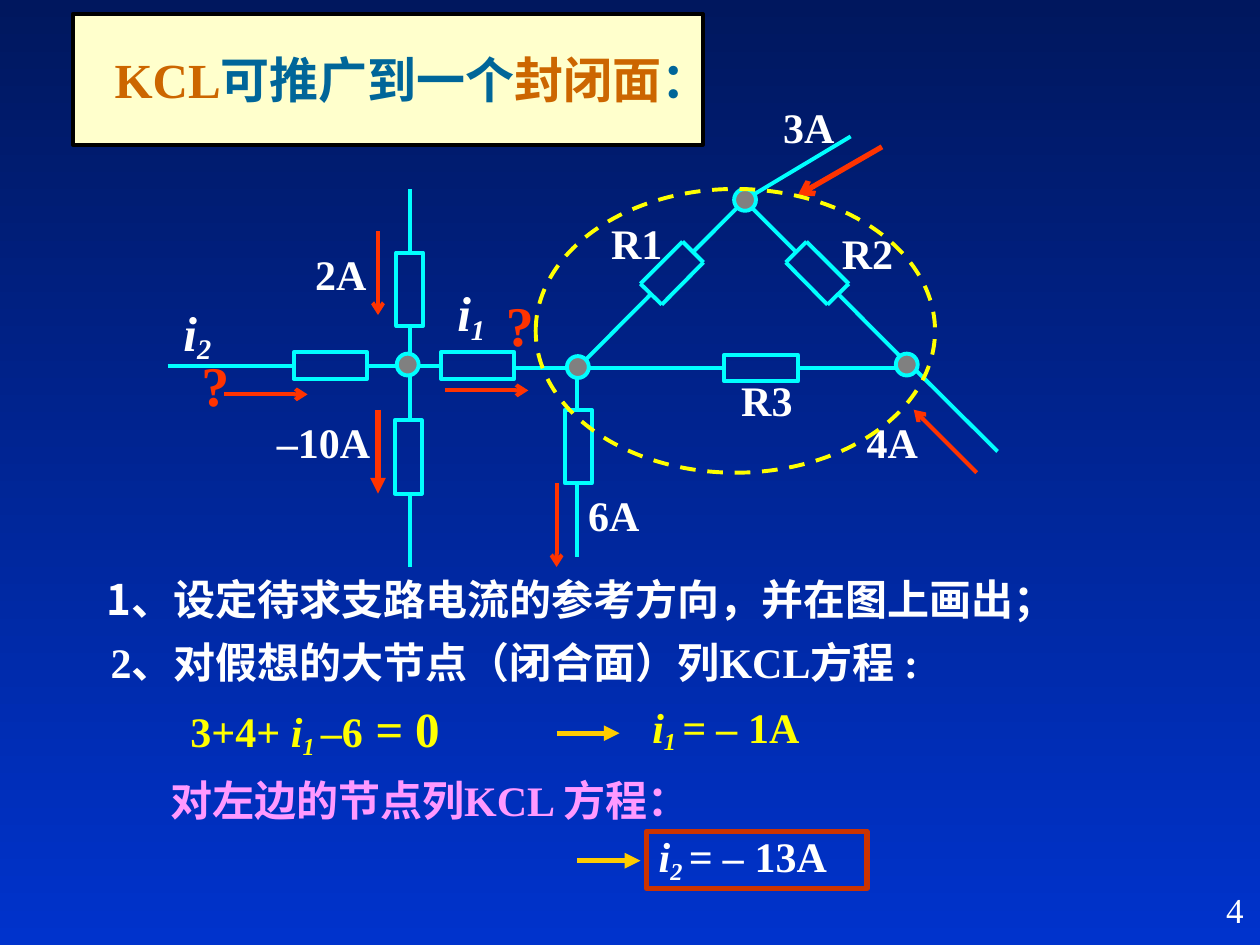
from pptx import Presentation
from pptx.dml.color import RGBColor
from pptx.enum.dml import MSO_LINE
from pptx.enum.shapes import MSO_CONNECTOR, MSO_SHAPE
from pptx.enum.text import MSO_ANCHOR, PP_ALIGN
from pptx.oxml.ns import qn
from pptx.util import Cm, Pt
from lxml.etree import SubElement

COLORS = {
    "top": "00175E", "base": "0033CC", "wire": "00FFFF", "node": "808080",
    "flow": "FF3300", "text": "FFFFFF", "loop": "FFFF00", "step": "FFCC00",
    "pink": "FF99FF", "rust": "CC3300", "cream": "FFFFCC", "edge": "000000",
    "key": "CC6600", "teal": "006699",
}
SERIF, SANS = "Times New Roman", "Noto Sans CJK SC"
LEFT, MID, RIGHT = PP_ALIGN.LEFT, PP_ALIGN.CENTER, PP_ALIGN.RIGHT


def rgb(name):
    return RGBColor.from_string(COLORS[name])


def add_line(slide, start, end, color="wire", width=2.25, head=None):
    ends = [Cm(v) for v in (*start, *end)]
    line = slide.shapes.add_connector(MSO_CONNECTOR.STRAIGHT, *ends)
    line.line.color.rgb = rgb(color)
    line.line.width = Pt(width)
    props = line._element.spPr
    if head:
        SubElement(props.find(qn("a:ln")), qn("a:tailEnd"), type=head)
    SubElement(props, qn("a:effectLst"))


def add_form(slide, kind, box, fill=None, edge="wire", width=2.25):
    form = slide.shapes.add_shape(kind, *[Cm(v) for v in box])
    form.shadow.inherit = False
    if fill:
        form.fill.solid()
        form.fill.fore_color.rgb = rgb(fill)
    else:
        form.fill.background()
    form.line.color.rgb = rgb(edge)
    form.line.width = Pt(width)
    return form


def add_part(slide, x, y, turn=0):
    part = add_form(slide, MSO_SHAPE.RECTANGLE,
                    (x - 0.74, y - 0.27, 1.48, 0.54))
    part.rotation = turn


def add_node(slide, x, y):
    add_form(slide, MSO_SHAPE.OVAL, (x - 0.22, y - 0.22, 0.44, 0.44), "node")


def fill_text(shape, runs, size=24, color="text", align=LEFT, font=SERIF,
              bold=True, space=0.8):
    frame = shape.text_frame
    frame.word_wrap = True
    frame.vertical_anchor = MSO_ANCHOR.MIDDLE
    para = frame.paragraphs[0]
    para.alignment = align
    para.line_spacing = space
    for text, *style in [(runs,)] if isinstance(runs, str) else runs:
        look = style[0] if style else {}
        run = para.add_run()
        run.text = text
        run.font.size = Pt(look.get("size", size))
        run.font.bold = bold
        run.font.italic = look.get("slant", False)
        run.font.name = font
        run.font.color.rgb = rgb(look.get("color", color))
        props = run.font._element
        SubElement(props, qn("a:ea"), typeface=SANS)
        if look.get("sub"):
            props.set("baseline", "-18000")


def add_text(slide, box, runs, **style):
    shape = slide.shapes.add_textbox(*[Cm(v) for v in box])
    fill_text(shape, runs, **style)
    return shape


def symbol(index):
    return [("i", {"slant": True}), (index, {"slant": True, "sub": True})]


def answer(index, value):
    return symbol(index + " ") + [("= – ", {"slant": True}), (value,)]


def draw_title(slide):
    title = add_form(slide, MSO_SHAPE.RECTANGLE, (1.47, 0.28, 12.7, 2.64),
                     "cream", "edge")
    frame = title.text_frame
    frame.margin_left = frame.margin_right = Cm(0.8)
    fill_text(title, [("KCL", {"color": "key"}),
                      ("可推广到一个", {"color": "teal"}),
                      ("封闭面", {"color": "key"}),
                      ("：", {"color": "teal"})],
              size=28, align=MID, space=1)


def draw_wires(slide):
    wires = [
        ((3.38, 7.37), (5.92, 7.37)), ((7.4, 7.37), (8.89, 7.37)),
        ((10.37, 7.42), (14.6, 7.42)), ((16.08, 7.42), (18.42, 7.42)),
        ((8.26, 3.81), (8.26, 5.08)), ((8.26, 6.56), (8.26, 8.46)),
        ((8.26, 9.95), (8.26, 11.43)), ((11.64, 7.42), (11.64, 8.26)),
        ((11.64, 9.74), (11.64, 11.22)), ((18.42, 7.42), (20.11, 9.1)),
        ((15.03, 4.02), (17.15, 2.75)),
    ]
    for start, end in wires:
        add_line(slide, start, end)
    corners = [(13.76, 4.87), (12.91, 5.72), (13.34, 6.14), (14.18, 5.29)]
    slopes = list(zip(corners, corners[1:] + corners[:1]))
    slopes += [((11.64, 7.42), (13.12, 5.93)), ((13.97, 5.08), (15.03, 4.02))]
    for (ax, ay), (bx, by) in slopes:
        add_line(slide, (ax, ay), (bx, by))
        add_line(slide, (30.02 - ax, ay), (30.02 - bx, by))


def draw_parts(slide):
    for x, y in [(6.66, 7.37), (9.63, 7.37), (15.34, 7.42)]:
        add_part(slide, x, y)
    for x, y in [(8.26, 5.83), (8.23, 9.21), (11.66, 9.0)]:
        add_part(slide, x, y, 270)
    for x, y in [(8.22, 7.35), (11.65, 7.4), (18.28, 7.35), (15.02, 4.03)]:
        add_node(slide, x, y)


def draw_flows(slide):
    flows = [
        ((7.62, 4.66), (7.62, 6.35), 2.25, "arrow"),
        ((7.62, 8.26), (7.62, 9.95), 3, "triangle"),
        ((11.22, 9.74), (11.22, 11.43), 2.25, "arrow"),
        ((17.78, 2.96), (16.08, 3.94), 3, "arrow"),
        ((19.69, 9.53), (18.42, 8.26), 2.25, "arrow"),
        ((8.97, 7.87), (10.65, 7.87), 2.25, "arrow"),
        ((4.52, 7.95), (6.2, 7.95), 2.25, "arrow"),
    ]
    for start, end, width, head in flows:
        add_line(slide, start, end, "flow", width, head)


def draw_labels(slide):
    labels = [
        ("2A", 5.92, 5.08, 1.9, MID), ("–10A", 4.93, 8.46, 3.18, MID),
        ("6A", 11.0, 9.95, 2.75, MID), ("4A", 16.93, 8.46, 2.12, MID),
        ("3A", 14.4, 2.12, 3.81, MID), ("R1", 12.07, 4.45, 1.9, LEFT),
        ("R2", 16.72, 4.66, 1.9, LEFT), ("R3", 14.4, 7.62, 2.12, MID),
    ]
    for text, x, y, width, align in labels:
        add_text(slide, (x, y, width, 1.06), text, align=align)
    for x, y in [(3.6, 7.19), (9.74, 5.99)]:
        add_text(slide, (x, y, 1.48, 1.35), "?", size=32, color="flow",
                 align=MID)
    for index, x, y in [("1", 8.97, 5.72), ("2", 3.45, 6.12)]:
        add_text(slide, (x, y, 1.7, 1.3), symbol(index), size=28)


def draw_steps(slide):
    add_text(slide, (1.9, 11.64, 20.75, 1.06),
             "1、设定待求支路电流的参考方向，并在图上画出；", font=SANS)
    add_text(slide, (1.98, 12.9, 18.2, 1.06),
             "2、对假想的大节点（闭合面）列KCL方程 :")
    add_text(slide, (3.38, 14.15, 7.2, 1.25),
             [(" 3+4+ ",)] + symbol("1 ")
             + [("–6",), (" = ", {"size": 28, "slant": True}),
                ("0", {"size": 28})], color="loop")
    add_text(slide, (12.9, 14.15, 4.45, 1.15), answer("1", "1A"),
             color="loop")
    add_text(slide, (3.18, 15.27, 10.4, 1.88), "对左边的节点列KCL 方程：",
             color="pink")
    for x, y in [(11.22, 14.78), (11.64, 17.35)]:
        add_line(slide, (x, y), (x + 1.27, y), "step", 3, "triangle")
    result = add_form(slide, MSO_SHAPE.RECTANGLE, (13.03, 16.76, 4.45, 1.15),
                      edge="rust", width=3)
    fill_text(result, answer("2", "13A"))
    page = add_text(slide, (20.04, 17.78, 5.28, 1.27), "4", size=20,
                    align=RIGHT, bold=False, space=1)
    page.text_frame.vertical_anchor = MSO_ANCHOR.TOP


def main():
    deck = Presentation()
    deck.slide_width, deck.slide_height = Cm(25.4), Cm(19.05)
    slide = deck.slides.add_slide(deck.slide_layouts[6])
    back = slide.background.fill
    back.gradient()
    back.gradient_angle = 270
    for stop, name in zip(back.gradient_stops, ("top", "base")):
        stop.color.rgb = rgb(name)
    draw_title(slide)
    draw_wires(slide)
    draw_parts(slide)
    draw_flows(slide)
    draw_labels(slide)
    loop = add_form(slide, MSO_SHAPE.OVAL, (10.8, 3.81, 8.05, 5.72),
                    edge="loop")
    loop.line.dash_style = MSO_LINE.DASH
    draw_steps(slide)
    deck.save("out.pptx")


if __name__ == "__main__":
    main()
